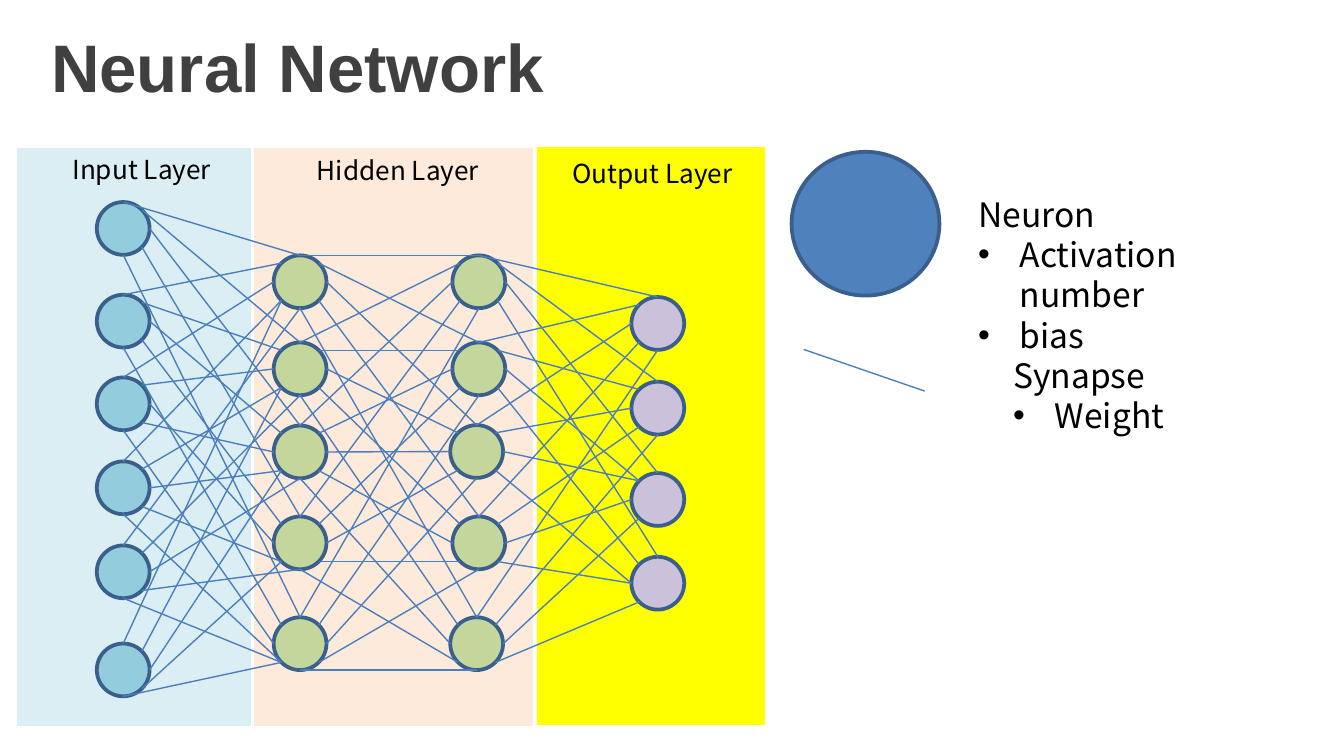
from lxml import etree
from pptx import Presentation
from pptx import util as u
from pptx.dml.color import RGBColor
from pptx.enum import shapes, text
from pptx.oxml import ns

COLORS = {
    "input_panel": "DBEEF4", "hidden_panel": "FDEADA", "output_panel": "FFFF00",
    "input": "93CDDD", "hidden": "C3D69B", "output": "CCC1DA", "neuron": "4F81BD",
    "outline": "3A5F8C", "synapse": "4B7EBC", "white": "FFFFFF",
    "title": "404040", "text": "000000",
}
COLUMNS, ROWS = 100, 56.25
CELL = u.Inches(10) / COLUMNS
NODE = 3.93
BODY_FONT = "Noto Sans CJK KR"

DIAGONAL = 0.5 ** 0.5
SITES = {
    "N": (0, -1), "NE": (DIAGONAL, -DIAGONAL), "E": (1, 0), "SE": (DIAGONAL, DIAGONAL),
    "S": (0, 1), "SW": (-DIAGONAL, DIAGONAL), "W": (-1, 0), "NW": (-DIAGONAL, -DIAGONAL),
}
START_SITES = "N NE E SE S".split()

PANELS = [
    ("output_panel", 39.8, 10.8, 17.3),
    ("hidden_panel", 18.5, 10.9, 21.3),
    ("input_panel", 1.1, 10.9, 17.7),
]
LABELS = [
    ("Input Layer", 4.4, 10.9, 13.5),
    ("Hidden Layer", 22.6, 11, 14.3),
    ("Output Layer", 41.6, 11.2, 14.9),
]
LAYERS = [
    ("input", [(9.17, y) for y in (17, 23.9, 30.05, 36.3, 42.55, 49.85)]),
    ("hidden", [(22.33, y) for y in (20.97, 27.45, 33.63, 40.4, 47.9)]),
    ("hidden", [(35.63, 20.97), (35.63, 27.45), (35.47, 33.6), (35.63, 40.4), (35.47, 47.9)]),
    ("output", [(48.95, y) for y in (24.07, 30.37, 37.17, 43.4)]),
]
END_SITES = [
    [["N"] * 5, ["NW"] * 5, ["W"] * 5, ["SW"] * 5, ["S"] * 4 + ["SW"], ["SW"] * 5],
    [["N"] * 5, ["NW"] * 5, ["W"] * 5, ["SW"] * 5, ["S"] * 5],
    [["N"] * 4, ["NW"] * 4, ["W", "W", "NW", "W"], ["SW", "SW", "W", "W"], ["S", "S", "SW", "SW"]],
]
START_EXCEPTIONS = {(0, 2): "N NE SE E S".split()}


def cells(*values):
    """Turn grid cells into whole slide units."""
    return [u.Emu(round(value * CELL)) for value in values]


def color(name):
    """Look up a palette colour."""
    return RGBColor.from_string(COLORS[name])


def style_font(paragraph, size, name, color_name, bold=False):
    """Format all text of a paragraph."""
    font = paragraph.font
    font.size, font.name, font.bold = u.Pt(size), name, bold
    font.color.rgb = color(color_name)


def add_title(slide, wording):
    """Place and format the title placeholder."""
    title = slide.shapes.title
    title.left, title.top, title.width, title.height = cells(2.8, 0, 82.3, 9.7)
    frame = title.text_frame
    frame.text = wording
    frame.auto_size = text.MSO_AUTO_SIZE.NONE
    frame.vertical_anchor = text.MSO_ANCHOR.MIDDLE
    frame.paragraphs[0].alignment = text.PP_ALIGN.LEFT
    style_font(frame.paragraphs[0], 36, "Arial", "title", True)


def add_figure(slide, kind, box, fill, line):
    """Add a filled, outlined preset shape."""
    shape = slide.shapes.add_shape(kind, *cells(*box))
    shape.shadow.inherit = False
    shape.fill.solid()
    shape.fill.fore_color.rgb = color(fill)
    shape.line.color.rgb = color(line)
    shape.line.width = u.Pt(2)


def add_neuron(slide, center, width, height, fill):
    """Add an ellipse around a centre."""
    box = (center[0] - width / 2, center[1] - height / 2, width, height)
    add_figure(slide, shapes.MSO_SHAPE.OVAL, box, fill, "outline")


def add_synapse(slide, start, end):
    """Draw a thin line between two points."""
    line = slide.shapes.add_connector(shapes.MSO_CONNECTOR.STRAIGHT, *cells(*start, *end))
    line.line.color.rgb = color("synapse")
    line.line.width = u.Pt(0.75)
    etree.SubElement(line._element.spPr, ns.qn("a:effectLst"))


def site_point(center, site):
    """Find a compass point on a neuron's rim."""
    return [middle + NODE / 2 * share for middle, share in zip(center, SITES[site])]


def connect_layers(slide, index):
    """Join every neuron of a layer to every neuron of the next."""
    sources, targets = LAYERS[index][1], LAYERS[index + 1][1]
    for row, source in enumerate(sources):
        start_sites = START_EXCEPTIONS.get((index, row), START_SITES)
        for target, start, end in zip(targets, start_sites, END_SITES[index][row]):
            add_synapse(slide, site_point(source, start), site_point(target, end))


def add_bullet(paragraph):
    """Give a paragraph a hanging bullet."""
    properties = paragraph._p.get_or_add_pPr()
    indent = u.Inches(0.31)
    properties.set("marL", str(indent))
    properties.set("indent", str(-indent))
    etree.SubElement(properties, ns.qn("a:buFont"), typeface="Arial")
    etree.SubElement(properties, ns.qn("a:buChar"), char="•")


def add_text(slide, box, heading, size, bullets=(), wrap=True):
    """Add a heading with optional bullets below it."""
    frame = slide.shapes.add_textbox(*cells(*box)).text_frame
    frame.word_wrap = wrap
    frame.auto_size = text.MSO_AUTO_SIZE.SHAPE_TO_FIT_TEXT
    frame.text = "\n".join([heading, *bullets])
    for index, paragraph in enumerate(frame.paragraphs):
        if index:
            add_bullet(paragraph)
        style_font(paragraph, size, BODY_FONT, "text")


def add_legend(slide):
    """Explain the neuron and synapse symbols."""
    add_neuron(slide, (64.4, 16.65), 11, 10.7, "neuron")
    add_text(slide, (71.8, 13.9, 26.3, 10.1), "Neuron", 18, ["Activation number", "bias"], False)
    add_synapse(slide, (59.8, 26), (68.8, 29.1))
    add_text(slide, (74.4, 25.9, 13.3, 7.1), "Synapse", 18, ["Weight"], False)


def main():
    """Build and save the slide."""
    presentation = Presentation()
    presentation.slide_width, presentation.slide_height = cells(COLUMNS, ROWS)
    slide = presentation.slides.add_slide(presentation.slide_layouts[5])
    for fill, left, top, width in PANELS:
        add_figure(slide, shapes.MSO_SHAPE.RECTANGLE, (left, top, width, 43.3), fill, "white")
    add_title(slide, "Neural Network")
    for fill, centers in LAYERS:
        for center in centers:
            add_neuron(slide, center, NODE, NODE, fill)
    for index in range(len(LAYERS) - 1):
        connect_layers(slide, index)
    for wording, left, top, width in LABELS:
        add_text(slide, (left, top, width, 3.4), wording, 14)
    add_legend(slide)
    presentation.save("out.pptx")


if __name__ == "__main__":
    main()
